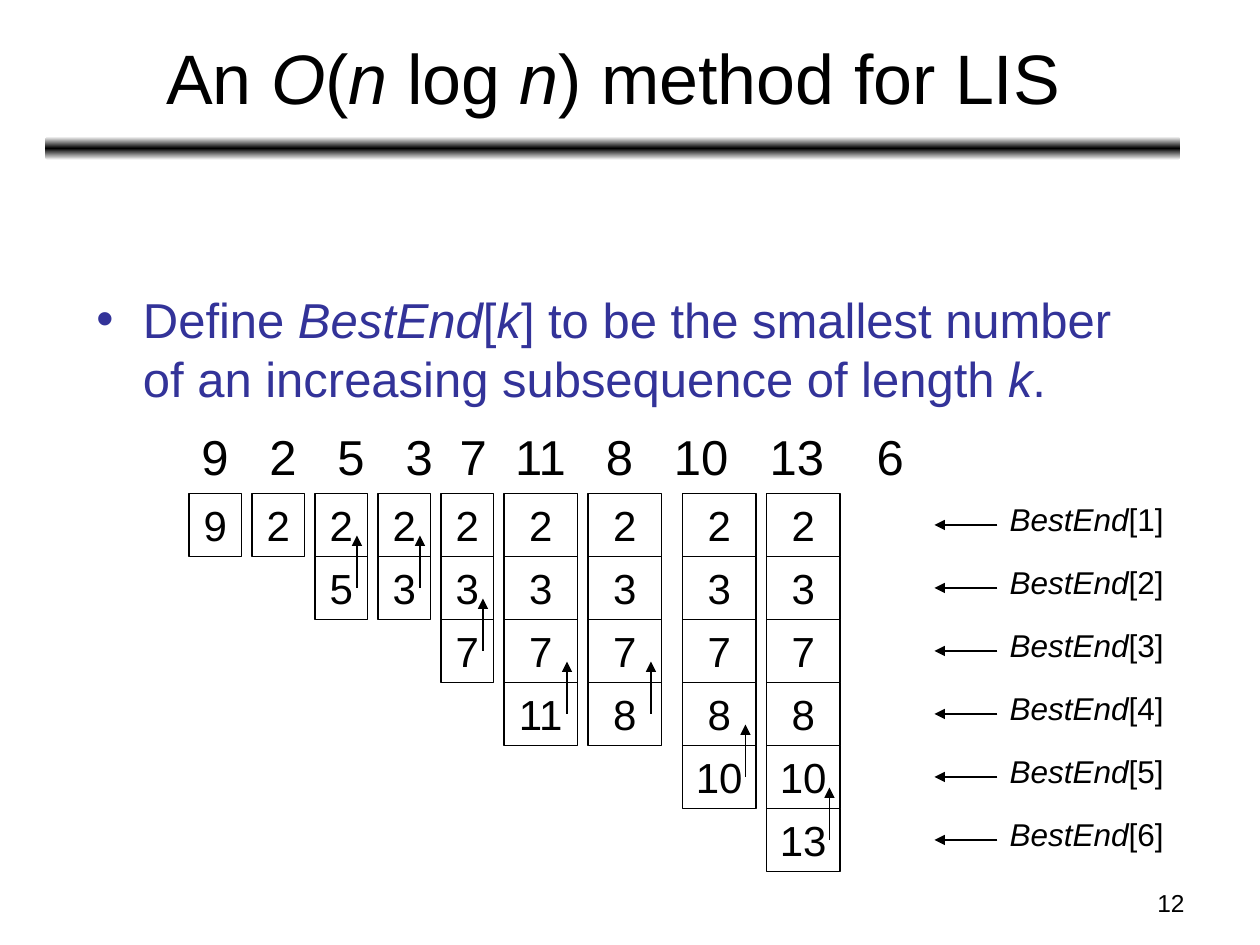
from copy import deepcopy

from pptx import Presentation
from pptx.dml.color import RGBColor
from pptx.enum.shapes import MSO_CONNECTOR, MSO_SHAPE
from pptx.enum.text import MSO_ANCHOR, PP_ALIGN
from pptx.oxml.ns import qn
from pptx.oxml.xmlchemy import OxmlElement
from pptx.util import Inches, Pt

COLORS = {"ink": "000000", "paper": "FFFFFF", "accent": "333399"}
UNIT = Inches(10) / 120

SEQUENCE = ["9", "2", "5", "3", "7", "11", "8", "10", "13", "6"]
SEQUENCE_STOPS = [0.54, 1.08, 1.62, 2.05, 2.49, 3.21, 3.75, 4.51, 5.36]
STACKS = [
    (0, 5, [9]),
    (6, 5, [2]),
    (12, 5, [2, 5]),
    (18, 5, [2, 3]),
    (24, 5, [2, 3, 7]),
    (30, 7, [2, 3, 7, 11]),
    (38, 7, [2, 3, 7, 8]),
    (47, 7, [2, 3, 7, 8, 10]),
    (55, 7, [2, 3, 7, 8, 10, 13]),
]
CELL_ROWS = 6
LEVELS = 6


def grid(*cells):
    return [round(cell * UNIT) for cell in cells]


def color(name):
    return RGBColor.from_string(COLORS[name])


def child(parent, tag, **attributes):
    element = OxmlElement(tag)
    for name, value in attributes.items():
        element.set(name, str(value))
    parent.append(element)
    return element


def style(para, size, ink="ink", align=PP_ALIGN.LEFT):
    para.alignment = align
    para.font.name = "Arial"
    para.font.size = Pt(size)
    para.font.color.rgb = color(ink)


def write(para, spans):
    for text, italic in spans:
        span = para.add_run()
        span.text = text
        span.font.italic = italic


def text_box(page, area, wrap=True):
    box = page.shapes.add_textbox(*grid(*area))
    box.text_frame.word_wrap = wrap
    return box.text_frame


def arrow(page, start, end):
    line = page.shapes.add_connector(MSO_CONNECTOR.STRAIGHT, *grid(*start, *end))
    line.line.color.rgb = color("ink")
    line.line.width = Pt(0.75)
    child(line.line._get_or_add_ln(), "a:tailEnd", type="triangle")
    child(line._element.spPr, "a:effectLst")


def title(page, area):
    frame = text_box(page, area)
    frame.vertical_anchor = MSO_ANCHOR.MIDDLE
    para = frame.paragraphs[0]
    style(para, 40, align=PP_ALIGN.CENTER)
    write(para, [("An ", False), ("O", True), ("(", False), ("n ", True),
                 ("log ", False), ("n", True), (") method for LIS", False)])


def divider(page, area):
    bar = page.shapes.add_shape(MSO_SHAPE.ROUNDED_RECTANGLE, *grid(*area))
    bar.shadow.inherit = False
    bar.line.fill.background()
    bar.fill.gradient()
    bar.fill.gradient_angle = 90
    stops = bar._element.spPr.find(qn("a:gradFill")).find(qn("a:gsLst"))
    stops.append(deepcopy(stops[0]))
    for stop, name, position in zip(bar.fill.gradient_stops,
                                    ["paper", "ink", "paper"], [0, 0.5, 1]):
        stop.color.rgb = color(name)
        stop.position = position


def definition(page, area):
    para = text_box(page, area).paragraphs[0]
    properties = para._p.get_or_add_pPr()
    properties.set("marL", str(Inches(0.37)))
    properties.set("indent", str(-Inches(0.37)))
    bullet_color = child(properties, "a:buClr")
    child(bullet_color, "a:srgbClr", val=COLORS["accent"])
    child(properties, "a:buFont", typeface="Arial")
    child(properties, "a:buChar", char="•")
    style(para, 28, "accent")
    write(para, [("Define ", False), ("BestEnd", True), ("[", False), ("k", True),
                 ("] to be the smallest number of an increasing subsequence of length ",
                  False), ("k", True), (".", False)])


def sequence(page, area):
    para = text_box(page, area).paragraphs[0]
    stops = child(para._p.get_or_add_pPr(), "a:tabLst")
    for position in SEQUENCE_STOPS:
        child(stops, "a:tab", pos=Inches(position), algn="l")
    para.text = "\t".join(SEQUENCE)
    style(para, 28)


def cell(page, area, value):
    box = page.shapes.add_shape(MSO_SHAPE.RECTANGLE, *grid(*area))
    box.shadow.inherit = False
    box.fill.background()
    box.line.color.rgb = color("ink")
    box.line.width = Pt(0.75)
    box.text_frame.word_wrap = False
    box.text_frame.vertical_anchor = MSO_ANCHOR.MIDDLE
    para = box.text_frame.paragraphs[0]
    para.text = str(value)
    style(para, 24, align=PP_ALIGN.CENTER)


def stacks(page, left, top):
    for offset, width, values in STACKS:
        for level, value in enumerate(values):
            cell(page, (left + offset, top + level * CELL_ROWS, width, CELL_ROWS), value)
    for offset, width, values in STACKS:
        if len(values) > 1:
            column = left + offset + width - 1
            last = top + (len(values) - 1) * CELL_ROWS
            arrow(page, (column, last + 3), (column, last - 2))


def labels(page, left, top, width):
    for level in range(LEVELS):
        row = top + level * CELL_ROWS
        arrow(page, (left + 1, row + 3), (left - 5, row + 3))
        para = text_box(page, (left, row, width, 4.8), wrap=False).paragraphs[0]
        style(para, 18, align=PP_ALIGN.CENTER)
        write(para, [("BestEnd", True), (f"[{level + 1}]", False)])


def page_number(page, area):
    para = text_box(page, area).paragraphs[0]
    para.text = "12"
    style(para, 14, align=PP_ALIGN.RIGHT)


def main():
    deck = Presentation()
    deck.slide_width, deck.slide_height = grid(120, 90)
    page = deck.slides.add_slide(deck.slide_layouts[6])
    divider(page, (4.3, 13, 108.1, 2.25))
    page_number(page, (86, 84, 28, 4.2))
    title(page, (4.4, 1.3, 108, 11.9))
    definition(page, (8, 27, 102, 54))
    sequence(page, (18, 40, 81, 15.4))
    stacks(page, 18, 47)
    labels(page, 94, 47, 19)
    deck.save("out.pptx")


if __name__ == "__main__":
    main()
